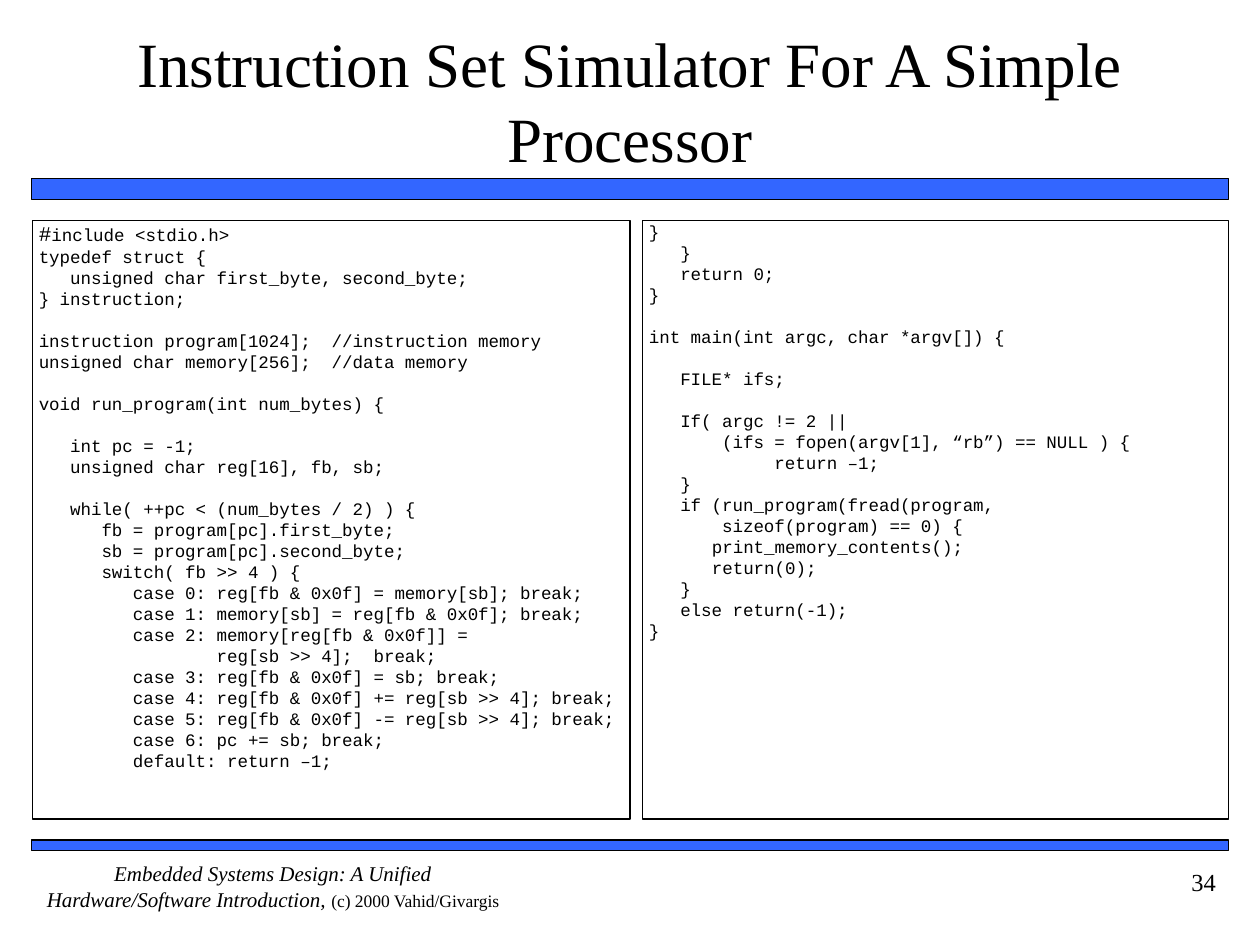
from pptx import Presentation
from pptx.dml.color import RGBColor
from pptx.enum.shapes import MSO_SHAPE
from pptx.enum.text import MSO_ANCHOR, MSO_AUTO_SIZE, PP_ALIGN
from pptx.util import Inches, Pt

RECTANGLE = MSO_SHAPE.RECTANGLE
TOP, MIDDLE = MSO_ANCHOR.TOP, MSO_ANCHOR.MIDDLE
LEFT, CENTER, RIGHT = PP_ALIGN.LEFT, PP_ALIGN.CENTER, PP_ALIGN.RIGHT
NO_AUTOFIT = MSO_AUTO_SIZE.NONE

COLORS = {"bar": "3366FF", "ink": "000000"}
SERIF, MONO = "Times New Roman", "Courier New"
WIDTH, HEIGHT = Inches(10), Inches(7.5)
COLUMNS, ROWS = 120, 90
CODE_SIZE, CODE_LINE = 10, 12

SIMULATOR_BLOCKS = [
    """#include <stdio.h>
typedef struct {
   unsigned char first_byte, second_byte;
} instruction;""",
    """instruction program[1024];  //instruction memory
unsigned char memory[256];  //data memory""",
    "void run_program(int num_bytes) {",
    """   int pc = -1;
   unsigned char reg[16], fb, sb;""",
    """   while( ++pc < (num_bytes / 2) ) {
      fb = program[pc].first_byte;
      sb = program[pc].second_byte;
      switch( fb >> 4 ) {
         case 0: reg[fb & 0x0f] = memory[sb]; break;
         case 1: memory[sb] = reg[fb & 0x0f]; break;
         case 2: memory[reg[fb & 0x0f]] =
                 reg[sb >> 4];  break;
         case 3: reg[fb & 0x0f] = sb; break;
         case 4: reg[fb & 0x0f] += reg[sb >> 4]; break;
         case 5: reg[fb & 0x0f] -= reg[sb >> 4]; break;
         case 6: pc += sb; break;
         default: return –1;""",
]

MAIN_BLOCKS = [
    """}
   }
   return 0;
}""",
    "int main(int argc, char *argv[]) {",
    "   FILE* ifs;",
    """   If( argc != 2 ||
       (ifs = fopen(argv[1], “rb”) == NULL ) {
            return –1;
   }
   if (run_program(fread(program,
       sizeof(program) == 0) {
\tprint_memory_contents();
\treturn(0);
   }
   else return(-1);
}""",
]


def color(name):
    return RGBColor.from_string(COLORS[name])


def grid(column, row, columns, rows):
    return (round(WIDTH * column / COLUMNS), round(HEIGHT * row / ROWS),
            round(WIDTH * columns / COLUMNS), round(HEIGHT * rows / ROWS))


def set_font(font, name, size):
    font.name = name
    font.size = Pt(size)
    font.color.rgb = color("ink")


def set_frame(frame, margins, anchor=TOP):
    frame.word_wrap = True
    frame.auto_size = NO_AUTOFIT
    frame.vertical_anchor = anchor
    (frame.margin_left, frame.margin_top,
     frame.margin_right, frame.margin_bottom) = map(Inches, margins)


def add_rectangle(page, box, line_width):
    shape = page.shapes.add_shape(RECTANGLE, *box)
    shape.shadow.inherit = False
    shape.line.color.rgb = color("ink")
    shape.line.width = Pt(line_width)
    return shape


def add_bar(page, box):
    bar = add_rectangle(page, box, 1)
    bar.fill.solid()
    bar.fill.fore_color.rgb = color("bar")


def add_title(page, box):
    title = page.shapes.title
    title.left, title.top, title.width, title.height = box
    set_frame(title.text_frame, (0, 0.05, 0, 0.05), MIDDLE)
    para = title.text_frame.paragraphs[0]
    para.text = "Instruction Set Simulator For A Simple Processor"
    para.alignment = CENTER
    set_font(para.font, SERIF, 36)


def add_code(page, box, blocks):
    panel = add_rectangle(page, box, 0.75)
    panel.fill.background()
    frame = panel.text_frame
    set_frame(frame, (0.05, 0, 0, 0))
    for index, block in enumerate(blocks):
        for number, line in enumerate(block.split("\n")):
            first = index == number == 0
            para = frame.paragraphs[0] if first else frame.add_paragraph()
            para.alignment = LEFT
            if index and number == 0:
                para.space_before = Pt(CODE_LINE)
            set_font(para.font, MONO, CODE_SIZE)
            if line.startswith("#"):
                span = para.add_run()
                span.text = "#"
                span.font.size = Pt(12)
                line = line[1:]
            para.add_run().text = line


def add_credit(page, box):
    frame = page.shapes.add_textbox(*box).text_frame
    set_frame(frame, (0, 0, 0, 0))
    para = frame.paragraphs[0]
    para.alignment = CENTER
    book = "Embedded Systems Design: A Unified Hardware/Software Introduction, "
    for text, size, italic in ((book, 12, True), ("(c) 2000 Vahid/Givargis", 10, False)):
        span = para.add_run()
        span.text = text
        set_font(span.font, SERIF, size)
        span.font.italic = italic


def add_page_number(page, box):
    frame = page.shapes.add_textbox(*box).text_frame
    set_frame(frame, (0.1, 0.05, 0.1, 0.05))
    para = frame.paragraphs[0]
    para.text = "34"
    para.alignment = RIGHT
    set_font(para.font, SERIF, 14)


def main():
    deck = Presentation()
    deck.slide_width, deck.slide_height = WIDTH, HEIGHT
    page = deck.slides.add_slide(deck.slide_layouts[5])
    add_bar(page, grid(3, 17, 114, 2))
    add_credit(page, grid(3, 82, 46, 6))
    add_bar(page, grid(3, 80, 114, 1))
    add_page_number(page, grid(105, 82, 12, 6))
    add_title(page, grid(5, 2, 110, 15))
    add_code(page, grid(3.1, 21, 56.9, 57), SIMULATOR_BLOCKS)
    add_code(page, grid(61.2, 21, 55.8, 57), MAIN_BLOCKS)
    deck.save("out.pptx")


if __name__ == "__main__":
    main()
